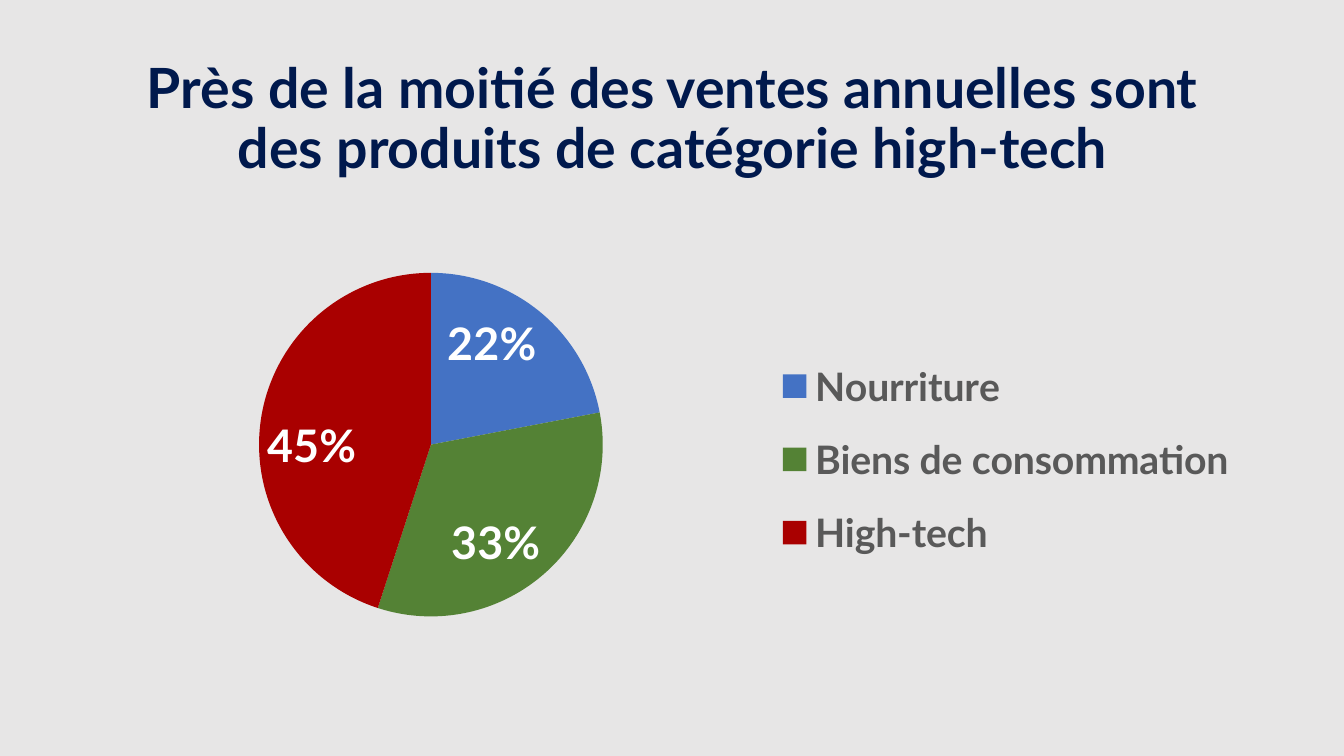
from lxml import etree
from pptx import Presentation
from pptx.chart.data import CategoryChartData
from pptx.dml.color import RGBColor
from pptx.enum.chart import XL_CHART_TYPE as ChartType
from pptx.enum.chart import XL_LABEL_POSITION as LabelPosition
from pptx.enum.chart import XL_LEGEND_POSITION as LegendPosition
from pptx.enum.text import MSO_ANCHOR as Anchor
from pptx.enum.text import PP_ALIGN as Align
from pptx.oxml.ns import qn
from pptx.util import Inches, Pt

BACKGROUND = RGBColor(0xE7, 0xE6, 0xE6)
NAVY = RGBColor(0x00, 0x19, 0x4D)
GREY = RGBColor(0x59, 0x59, 0x59)
WHITE = RGBColor(0xFF, 0xFF, 0xFF)
BLUE = RGBColor(0x44, 0x72, 0xC4)
GREEN = RGBColor(0x54, 0x82, 0x35)
RED = RGBColor(0xA9, 0x00, 0x00)

SALES = [
    ("Nourriture", 22, BLUE),
    ("Biens de consommation", 33, GREEN),
    ("High-tech", 45, RED),
]


def format_font(font, size, color, name="Lato", bold=True):
    font.name = name
    font.size = Pt(size)
    font.bold = bold
    font.color.rgb = color


def write_text(shape, text, size, color, align=Align.CENTER, line_spacing=0.9):
    shape.text_frame.word_wrap = True
    shape.text_frame.vertical_anchor = Anchor.MIDDLE
    paragraph = shape.text_frame.paragraphs[0]
    paragraph.alignment = align
    paragraph.line_spacing = line_spacing
    run = paragraph.add_run()
    run.text = text
    format_font(run.font, size, color)


def set_layout(parent, before, x, y, w, h, inner=False):
    """Place a chart part, in fractions of the chart, ahead of the first `before` child."""
    for old_layout in parent.findall(qn("c:layout")):
        parent.remove(old_layout)
    layout = etree.Element(qn("c:layout"))
    manual = etree.SubElement(layout, qn("c:manualLayout"))
    settings = {"xMode": "edge", "yMode": "edge", "x": x, "y": y, "w": w, "h": h}
    if inner:
        settings = {"layoutTarget": "inner", **settings}
    for tag, value in settings.items():
        etree.SubElement(manual, qn(f"c:{tag}")).set("val", str(value))
    parent.find(qn(before)).addprevious(layout)


def add_title(slide, left, top, width, height):
    title = slide.shapes.title
    title.left, title.top = Inches(left), Inches(top)
    title.width, title.height = Inches(width), Inches(height)
    write_text(
        title,
        "Près de la moitié des ventes annuelles sont des produits de catégorie high-tech",
        size=39.6,
        color=NAVY,
    )


def add_sales_pie(slide, left, top, width, height):
    data = CategoryChartData()
    data.categories = [category for category, _, _ in SALES]
    data.add_series("Ventes", [share for _, share, _ in SALES])
    chart = slide.shapes.add_chart(
        ChartType.PIE, Inches(left), Inches(top), Inches(width), Inches(height), data
    ).chart
    chart.has_title = False
    chart.font.name = "Calibri"
    chart.font.size = Pt(10)

    plot = chart.plots[0]
    plot.vary_by_categories = True
    for index, (_, _, color) in enumerate(SALES):
        fill = plot.series[0].points[index].format.fill
        fill.solid()
        fill.fore_color.rgb = color

    plot.has_data_labels = True
    labels = plot.data_labels
    labels.show_percentage = True
    labels.show_value = False
    labels.number_format = "0%"
    labels.number_format_is_linked = False
    labels.position = LabelPosition.INSIDE_END
    format_font(labels.font, 32, WHITE)

    chart.has_legend = True
    legend = chart.legend
    legend.position = LegendPosition.RIGHT
    legend.include_in_layout = False
    format_font(legend.font, 28, GREY)

    plot_area = chart.element.find(".//" + qn("c:plotArea"))
    legend_element = chart.element.find(".//" + qn("c:legend"))
    set_layout(plot_area, "c:pieChart", x=0.11, y=0.1, w=0.31, h=0.7, inner=True)
    set_layout(legend_element, "c:overlay", x=0.57, y=0.23, w=0.42, h=0.5)


def main():
    presentation = Presentation()
    presentation.slide_width = Inches(13.33)
    presentation.slide_height = Inches(7.5)
    slide = presentation.slides.add_slide(presentation.slide_layouts[5])
    slide.background.fill.solid()
    slide.background.fill.fore_color.rgb = BACKGROUND
    add_title(slide, left=0.92, top=0.47, width=11.5, height=1.45)
    add_sales_pie(slide, left=1.34, top=2.22, width=11.07, height=4.87)
    presentation.save("out.pptx")


if __name__ == "__main__":
    main()
